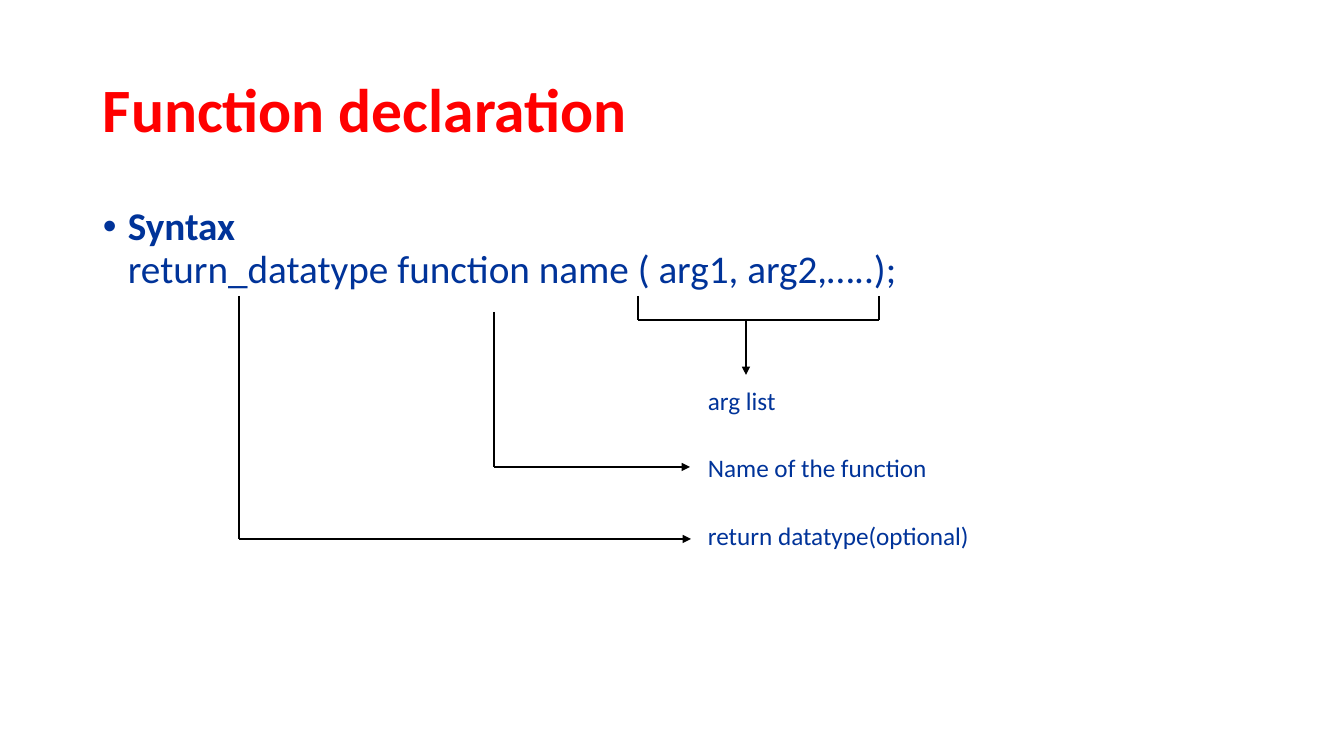
"""Build the slide that explains the syntax of a function declaration."""
from pptx import Presentation
from pptx import util as u
from pptx.dml.color import RGBColor
from pptx.enum import shapes, text
from pptx.oxml.ns import qn
from lxml import etree

PX = 914400 / 100.8
theme = {
    "font": "Calibri",
    "red": RGBColor(255, 0, 0),
    "blue": RGBColor(0, 51, 153),
    "black": RGBColor(0, 0, 0),
    "title": 44,
    "body": 28,
    "label": 18,
}


def px(n):
    return u.Emu(round(n * PX))


def style(para, size, color):
    para.line_spacing = 0.9
    for run in para.runs:
        run.font.name = theme["font"]
        run.font.size = u.Pt(theme[size])
        run.font.color.rgb = theme[color]


prs = Presentation()
prs.slide_width, prs.slide_height = px(1344), px(756)
slide = prs.slides.add_slide(prs.slide_layouts[6])

title = slide.shapes.add_textbox(px(93), px(40), px(1159), px(146)).text_frame
title.word_wrap = True
title.vertical_anchor = text.MSO_ANCHOR.MIDDLE
title.text = "Function declaration"
style(title.paragraphs[0], "title", "red")
title.paragraphs[0].runs[0].font.bold = True

body = slide.shapes.add_textbox(px(93), px(202), px(1159), px(480)).text_frame
body.word_wrap = True
syntax = body.paragraphs[0]
syntax.text = "Syntax\vreturn_datatype function name ( arg1, arg2,…..);"
style(syntax, "body", "blue")
syntax.runs[0].font.bold = True
props = syntax._p.get_or_add_pPr()
props.set("marL", str(px(25)))
props.set("indent", str(px(-25)))
etree.SubElement(props, qn("a:buFont")).set("typeface", "Arial")
etree.SubElement(props, qn("a:buChar")).set("char", "•")

labels = [
    ("arg list", 69),
    ("Name of the function", 29),
    ("return datatype(optional)", 29),
]
for label, gap in labels:
    para = body.add_paragraph()
    para.text = label
    para.space_before = u.Pt(gap)
    para._p.get_or_add_pPr().set("marL", str(px(605)))
    style(para, "label", "blue")

lines = [
    (494, 312, 494, 467, False),
    (494, 467, 690, 467, True),
    (239, 296, 239, 539, False),
    (239, 539, 691, 539, True),
    (638, 296, 638, 320, False),
    (879, 296, 879, 320, False),
    (638, 320, 879, 320, False),
    (746, 320, 746, 375, True),
]
for x1, y1, x2, y2, arrow in lines:
    link = slide.shapes.add_connector(
        shapes.MSO_CONNECTOR.STRAIGHT, px(x1), px(y1), px(x2), px(y2))
    link.line.color.rgb = theme["black"]
    link.line.width = u.Pt(1)
    etree.SubElement(link._element.spPr, qn("a:effectLst"))
    if arrow:
        tail = etree.SubElement(link.line._get_or_add_ln(), qn("a:tailEnd"))
        tail.set("type", "triangle")

prs.save("out.pptx")
